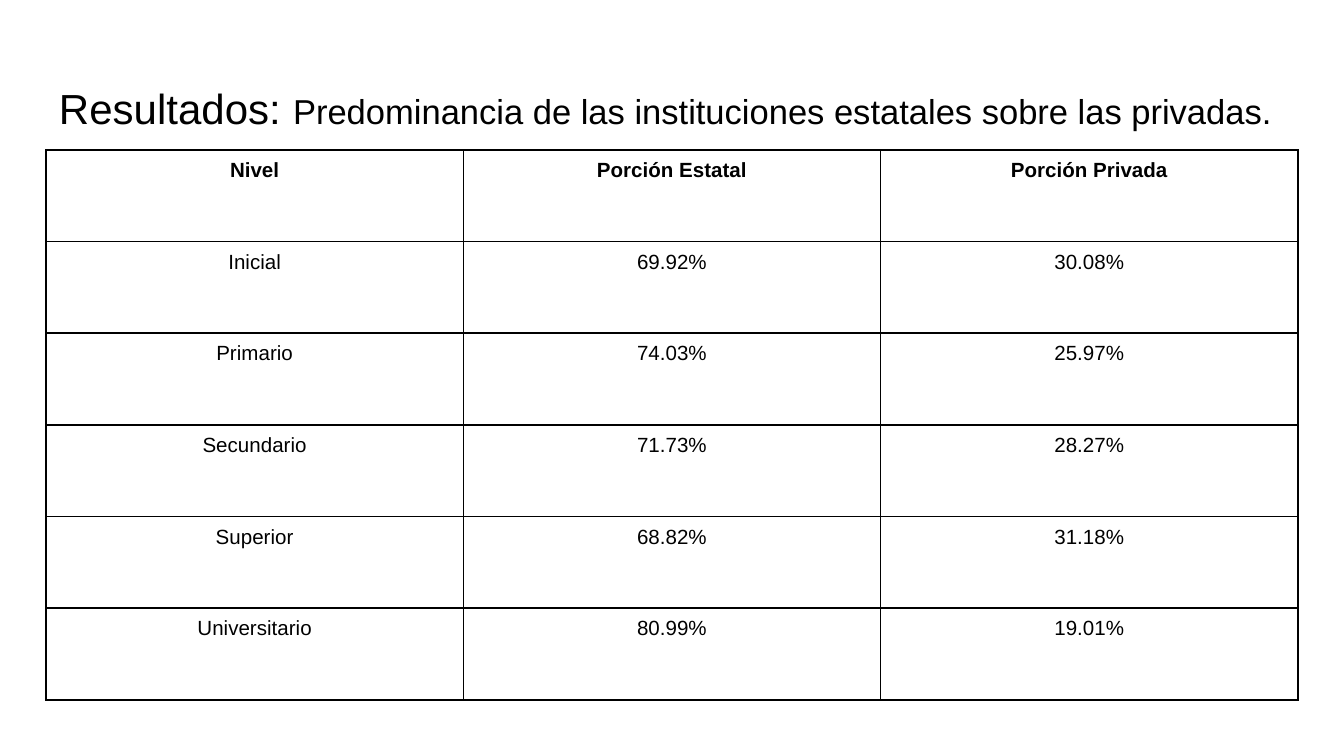
import pptx
import pptx.dml.color
import pptx.enum.text
import pptx.oxml
import pptx.oxml.ns
import pptx.util

COLORS = {"ink": "000000", "paper": "FFFFFF"}
FONT = "Arial"
EMU_PER_PX = 914400 / 134.4
TITLE_ONLY = 5

RESULTS = [
    ("Nivel", "Porción Estatal", "Porción Privada"),
    ("Inicial", "69.92%", "30.08%"),
    ("Primario", "74.03%", "25.97%"),
    ("Secundario", "71.73%", "28.27%"),
    ("Superior", "68.82%", "31.18%"),
    ("Universitario", "80.99%", "19.01%"),
]


def px(length):
    """Turn a length in px into EMU."""
    return pptx.util.Emu(round(length * EMU_PER_PX))


def rgb(name):
    return pptx.dml.color.RGBColor.from_string(COLORS[name])


class SlideBuilder:
    """Holds the style and the current slide."""

    def __init__(self, page):
        self.page = page
        page.background.fill.solid()
        page.background.fill.fore_color.rgb = rgb("paper")

    def add_span(self, para, text, size, bold=False):
        span = para.add_run()
        span.text = text
        span.font.name = FONT
        span.font.size = pptx.util.Pt(size)
        span.font.bold = bold
        span.font.color.rgb = rgb("ink")

    def set_margins(self, holder, margin):
        for side in ("left", "right", "top", "bottom"):
            setattr(holder, f"margin_{side}", px(margin))

    def title(self, left, top, width, height, spans):
        box = self.page.shapes.title
        box.left, box.top, box.width, box.height = map(px, (left, top, width, height))
        frame = box.text_frame
        frame.word_wrap = True
        frame.auto_size = pptx.enum.text.MSO_AUTO_SIZE.NONE
        frame.vertical_anchor = pptx.enum.text.MSO_ANCHOR.MIDDLE
        self.set_margins(frame, 13)
        para = frame.paragraphs[0]
        para.alignment = pptx.enum.text.PP_ALIGN.LEFT
        for text, size in spans:
            self.add_span(para, text, size)

    def table(self, left, top, width, height, rows):
        """Add a table of equal columns and rows, the first row in bold."""
        shape = self.page.shapes.add_table(
            len(rows), len(rows[0]), px(left), px(top), px(width), px(height))
        grid = shape.table
        grid.first_row = grid.horz_banding = False
        for row_index, row in enumerate(rows):
            for column_index, text in enumerate(row):
                self.fill_cell(grid.cell(row_index, column_index), text, bold=row_index == 0)

    def fill_cell(self, cell, text, bold):
        self.set_margins(cell, 9)
        cell.vertical_anchor = pptx.enum.text.MSO_ANCHOR.TOP
        para = cell.text_frame.paragraphs[0]
        para.alignment = pptx.enum.text.PP_ALIGN.CENTER
        self.add_span(para, text, 11, bold)
        self.border_cell(cell)
        cell.fill.background()

    def border_cell(self, cell):
        properties = cell._tc.get_or_add_tcPr()
        for side in ("lnL", "lnR", "lnT", "lnB"):
            properties.append(pptx.oxml.parse_xml(
                f'<a:{side} {pptx.oxml.ns.nsdecls("a")} w="{pptx.util.Pt(1)}">'
                f'<a:solidFill><a:srgbClr val="{COLORS["ink"]}"/></a:solidFill>'
                f'</a:{side}>'))


def main():
    deck = pptx.Presentation()
    deck.slide_width, deck.slide_height = px(1344), px(756)
    builder = SlideBuilder(deck.slides.add_slide(deck.slide_layouts[TITLE_ONLY]))
    builder.title(46, 66, 1252, 84, [
        ("Resultados: ", 22.5),
        ("Predominancia de las instituciones estatales sobre las privadas.", 18.5),
    ])
    builder.table(46, 150, 1252, 550, RESULTS)
    deck.save("out.pptx")


if __name__ == "__main__":
    main()
